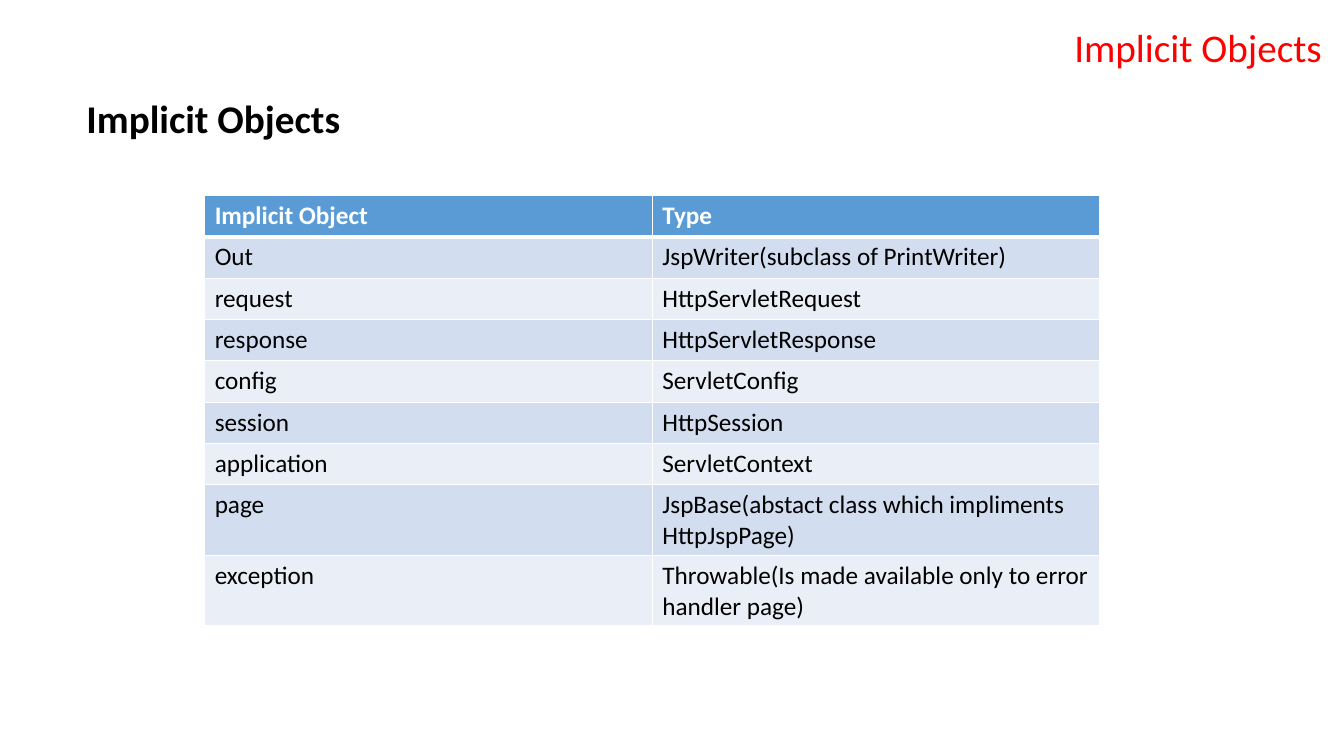
from dataclasses import dataclass
from typing import NamedTuple

from lxml import etree
from pptx import Presentation
from pptx.dml import color
from pptx.enum import text
from pptx.oxml import ns
from pptx.util import Inches, Pt


@dataclass(frozen=True)
class Theme:
    """Colours, font and type sizes of the slide."""
    font: str = "Calibri"
    red: str = "FF0000"
    black: str = "000000"
    white: str = "FFFFFF"
    head: str = "5B9BD5"
    bands: tuple[str, str] = ("D2DEEF", "EAEFF7")
    large: int = 28
    small: int = 18


class Box(NamedTuple):
    """Left, top, width and height in inches."""
    left: float
    top: float
    width: float
    height: float

    def emu(self) -> tuple[Inches, ...]:
        """Give the four measures as lengths."""
        return tuple(Inches(n) for n in self)


class Entry(NamedTuple):
    """One table row: an implicit object and its type."""
    name: str
    kind: str


THEME = Theme()
TITLE = Box(9.3, 0.18, 3.91, 0.57)
BODY = Box(0.76, 0.94, 11.96, 6.33)
GRID = Box(2.03, 1.94, 8.88, 3.69)
ENTRIES = [
    Entry("Implicit Object", "Type"),
    Entry("Out", "JspWriter(subclass of PrintWriter)"),
    Entry("request", "HttpServletRequest"),
    Entry("response", "HttpServletResponse"),
    Entry("config", "ServletConfig"),
    Entry("session", "HttpSession"),
    Entry("application", "ServletContext"),
    Entry("page", "JspBase(abstact class which impliments HttpJspPage)"),
    Entry("exception", "Throwable(Is made available only to error handler page)"),
]


def write(frame, words: str, size: int, hue: str, bold: bool = False):
    """Fill a text frame with one styled paragraph and return it."""
    frame.text = words
    frame.word_wrap = True
    para = frame.paragraphs[0]
    font = para.runs[0].font
    font.name, font.size, font.bold = THEME.font, Pt(size), bold
    font.color.rgb = color.RGBColor.from_string(hue)
    return para


def edge(cell, side: str, width: float) -> None:
    """Add a white border to one side of a cell."""
    props = cell._tc.get_or_add_tcPr()
    line = etree.SubElement(props, ns.qn(f"a:ln{side}"), w=str(Pt(width)))
    fill = etree.SubElement(line, ns.qn("a:solidFill"))
    etree.SubElement(fill, ns.qn("a:srgbClr"), val=THEME.white)


def add_title(slide) -> None:
    """Place the red title at the top right."""
    title = slide.shapes.title
    title.left, title.top, title.width, title.height = TITLE.emu()
    para = write(title.text_frame, "Implicit Objects", THEME.large, THEME.red)
    para.alignment = text.PP_ALIGN.RIGHT
    para.line_spacing = 0.9
    title.text_frame.vertical_anchor = text.MSO_ANCHOR.BOTTOM
    title.text_frame.auto_size = text.MSO_AUTO_SIZE.NONE


def add_body(slide) -> None:
    """Place the bold heading above the table."""
    frame = slide.shapes.add_textbox(*BODY.emu()).text_frame
    para = write(frame, "Implicit Objects", THEME.large, THEME.black, True)
    para.line_spacing = 0.9
    para.space_before = Pt(10)


def add_grid(slide) -> None:
    """Draw the banded table of implicit objects."""
    table = slide.shapes.add_table(len(ENTRIES), 2, *GRID.emu()).table
    for row, entry in enumerate(ENTRIES):
        top = row == 0
        shade = THEME.head if top else THEME.bands[(row - 1) % 2]
        hue = THEME.white if top else THEME.black
        for col, words in enumerate(entry):
            cell = table.cell(row, col)
            write(cell.text_frame, words, THEME.small, hue, top)
            for side in "LRTB":
                thick = (row, side) in ((0, "B"), (1, "T"))
                edge(cell, side, 3 if thick else 1)
            cell.fill.solid()
            cell.fill.fore_color.rgb = color.RGBColor.from_string(shade)


def main() -> None:
    """Build and save the slide."""
    deck = Presentation()
    deck.slide_width, deck.slide_height = Inches(13.33), Inches(7.5)
    slide = deck.slides.add_slide(deck.slide_layouts[5])
    add_body(slide)
    add_title(slide)
    add_grid(slide)
    deck.save("out.pptx")


main()
